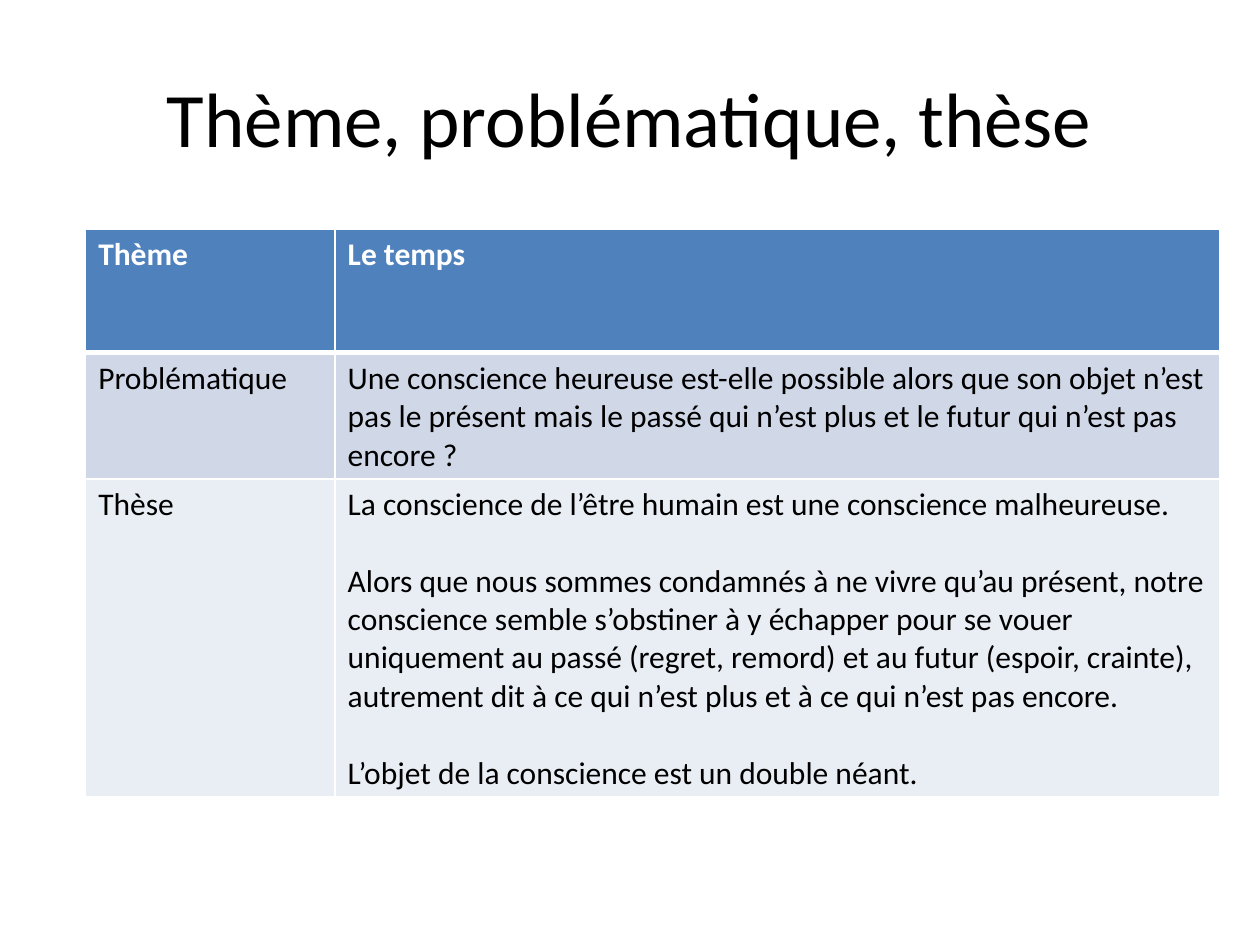
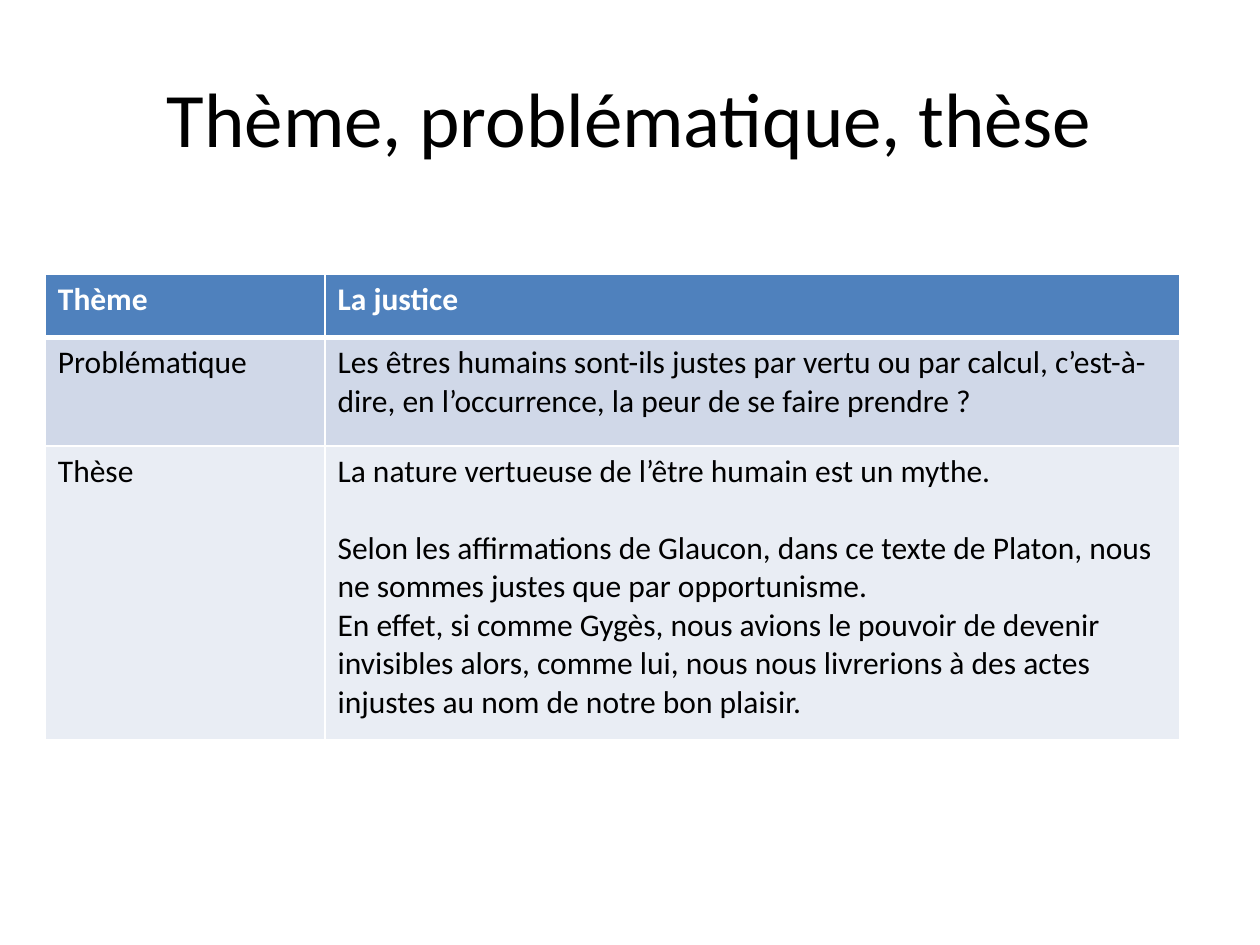
from dataclasses import dataclass

from lxml import etree
from pptx import Presentation
from pptx.dml.color import RGBColor
from pptx.enum import text
from pptx.oxml import ns
from pptx.slide import Slide
from pptx.table import _Cell as Cell
from pptx.util import Inches, Pt


@dataclass(frozen=True)
class Theme:
    font: str = "Calibri"
    title_size: int = 44
    body_size: int = 18
    blank_line: int = 22
    thin_rule: int = 1
    header_rule: int = 3
    ink: str = "000000"
    paper: str = "FFFFFF"
    row_fills: tuple[str, ...] = ("4F81BD", "D0D8E8", "E9EDF4")


@dataclass(frozen=True)
class Passage:
    words: str
    spaced: bool = False  # one line of space above


@dataclass(frozen=True)
class Analysis:
    """One theme with its question and thesis, and the table that holds them."""
    left: float
    top: float
    label_width: float
    row_heights: tuple[float, ...]
    subject: str
    question: str
    thesis: tuple[Passage, ...]


THEME = Theme()
TITLE = "Thème, problématique, thèse"
LABELS = ("Thème", "Problématique", "Thèse")
TABLE_WIDTH = 9

ANALYSES = (
    Analysis(
        0.68, 1.82, 1.98, (0.98, 0.98, 2.52),
        "Le temps",
        "Une conscience heureuse est-elle possible alors que son objet n’est pas "
        "le présent mais le passé qui n’est plus et le futur qui n’est pas encore ?",
        (
            Passage("La conscience de l’être humain est une conscience malheureuse."),
            Passage(
                "Alors que nous sommes condamnés à ne vivre qu’au présent, notre "
                "conscience semble s’obstiner à y échapper pour se vouer uniquement "
                "au passé (regret, remord) et au futur (espoir, crainte), autrement "
                "dit à ce qui n’est plus et à ce qui n’est pas encore.", True),
            Passage("L’objet de la conscience est un double néant.", True),
        ),
    ),
    Analysis(
        0.36, 2.18, 2.22, (0.5, 0.86, 2.33),
        "La justice",
        "Les êtres humains sont-ils justes par vertu ou par calcul, c’est-à-dire, "
        "en l’occurrence, la peur de se faire prendre ?",
        (
            Passage("La nature vertueuse de l’être humain est un mythe."),
            Passage(
                "Selon les affirmations de Glaucon, dans ce texte de Platon, nous ne "
                "sommes justes que par opportunisme.", True),
            Passage(
                "En effet, si comme Gygès, nous avions le pouvoir de devenir "
                "invisibles alors, comme lui, nous nous livrerions à des actes "
                "injustes au nom de notre bon plaisir."),
        ),
    ),
)


def style_text(para, size: int, color: str, bold: bool = False) -> None:
    for span in para.runs:
        span.font.name = THEME.font
        span.font.size = Pt(size)
        span.font.bold = bold
        span.font.color.rgb = RGBColor.from_string(color)


def add_title(page: Slide) -> None:
    box = page.shapes.add_textbox(Inches(0.5), Inches(0.3), Inches(9), Inches(1.25))
    frame = box.text_frame
    frame.word_wrap = True
    frame.vertical_anchor = text.MSO_ANCHOR.MIDDLE
    frame.text = TITLE
    para = frame.paragraphs[0]
    para.alignment = text.PP_ALIGN.CENTER
    style_text(para, THEME.title_size, THEME.ink)


def set_borders(cell: Cell, row: int) -> None:
    """Rule the cell in white, with a heavy rule between header and body."""
    properties = cell._tc.get_or_add_tcPr()
    heavy_side = {0: "B", 1: "T"}.get(row)
    for side in "LRTB":
        width = THEME.header_rule if side == heavy_side else THEME.thin_rule
        line = etree.SubElement(properties, ns.qn(f"a:ln{side}"), w=str(Pt(width)))
        fill = etree.SubElement(line, ns.qn("a:solidFill"))
        etree.SubElement(fill, ns.qn("a:srgbClr"), val=THEME.paper)


def fill_cell(cell: Cell, row: int, passages: tuple[Passage, ...]) -> None:
    set_borders(cell, row)
    cell.fill.solid()
    cell.fill.fore_color.rgb = RGBColor.from_string(THEME.row_fills[row])
    header = row == 0
    cell.text_frame.text = "\n".join(passage.words for passage in passages)
    for para, passage in zip(cell.text_frame.paragraphs, passages):
        if passage.spaced:
            para.space_before = Pt(THEME.blank_line)
        style_text(para, THEME.body_size, THEME.paper if header else THEME.ink, header)


def add_analysis(page: Slide, analysis: Analysis) -> None:
    contents = ((Passage(analysis.subject),), (Passage(analysis.question),), analysis.thesis)
    table = page.shapes.add_table(
        len(LABELS), 2, Inches(analysis.left), Inches(analysis.top),
        Inches(TABLE_WIDTH), Inches(sum(analysis.row_heights)),
    ).table
    table.horz_banding = False
    table.columns[0].width = Inches(analysis.label_width)
    table.columns[1].width = Inches(TABLE_WIDTH - analysis.label_width)
    for row, (label, content) in enumerate(zip(LABELS, contents)):
        table.rows[row].height = Inches(analysis.row_heights[row])
        fill_cell(table.cell(row, 0), row, (Passage(label),))
        fill_cell(table.cell(row, 1), row, content)


def main() -> None:
    deck = Presentation()
    deck.slide_width, deck.slide_height = Inches(10), Inches(7.5)
    for analysis in ANALYSES:
        page = deck.slides.add_slide(deck.slide_layouts[6])
        add_title(page)
        add_analysis(page, analysis)
    deck.save("out.pptx")


if __name__ == "__main__":
    main()
